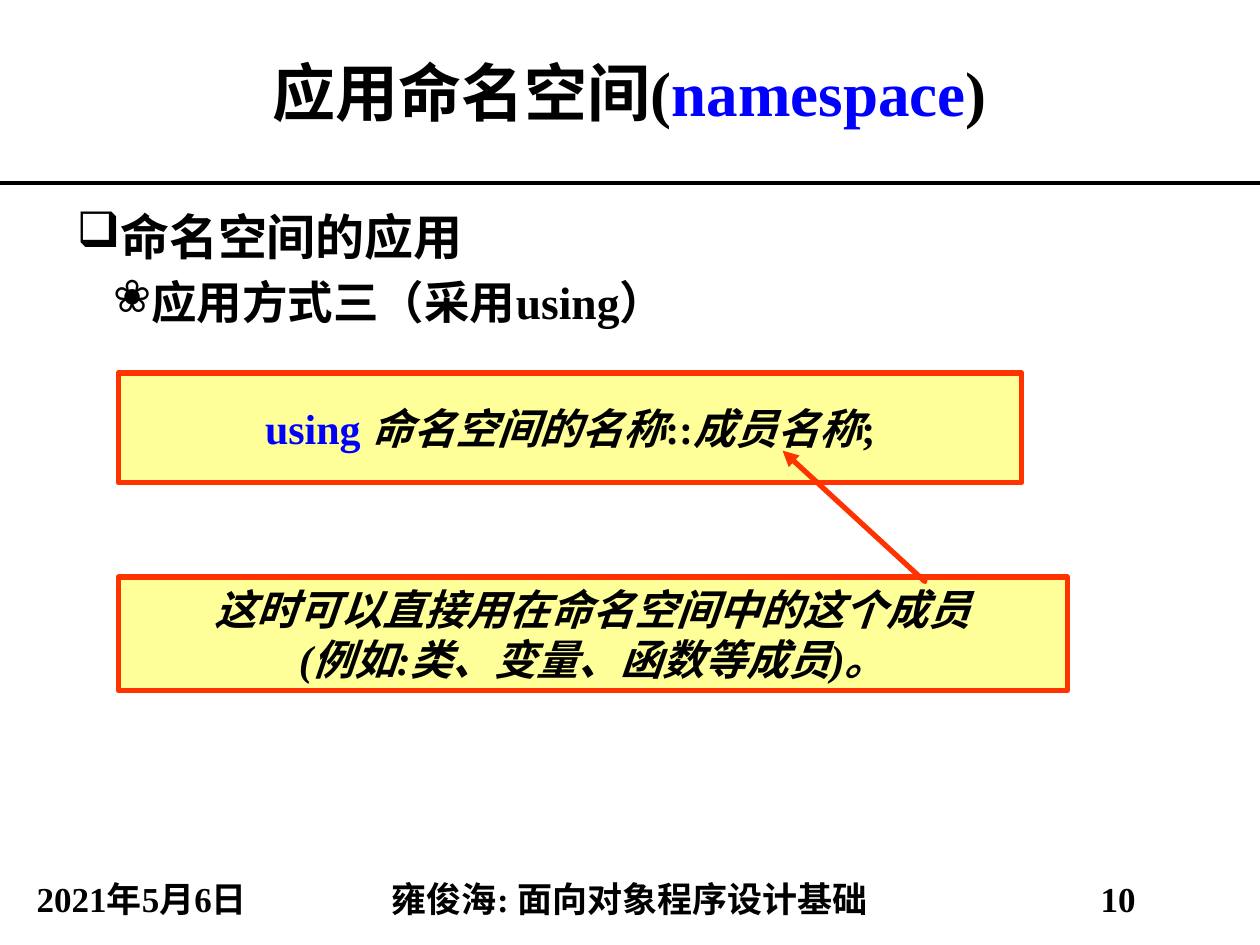
from lxml import etree
from pptx import Presentation
from pptx.dml.color import RGBColor
from pptx.enum.shapes import MSO_CONNECTOR, MSO_SHAPE
from pptx.enum.text import MSO_ANCHOR, PP_ALIGN
from pptx.oxml.ns import qn
from pptx.util import Inches, Pt

STRAIGHT = MSO_CONNECTOR.STRAIGHT
RECTANGLE, CALLOUT = MSO_SHAPE.RECTANGLE, MSO_SHAPE.LINE_CALLOUT_2
TOP, MIDDLE = MSO_ANCHOR.TOP, MSO_ANCHOR.MIDDLE
CENTER, JUSTIFY = PP_ALIGN.CENTER, PP_ALIGN.JUSTIFY
FONT = "Times New Roman"
BLACK, BLUE, YELLOW, RED = "000000", "0000FF", "FFFF99", "FF3300"
WIDTH, HEIGHT = 10, 7.5


def paint(color_format, value):
    color_format.rgb = RGBColor.from_string(value)


def assign(target, values):
    for name, value in values.items():
        setattr(target, name, value)


def write(paragraph, runs, size, **layout):
    assign(paragraph, layout)
    for words, color, italic in runs:
        run = paragraph.add_run()
        run.text = words
        assign(run.font, {"name": FONT, "size": Pt(size), "bold": True, "italic": italic})
        paint(run.font.color, color)


def add_text(slide, box, anchor):
    frame = slide.shapes.add_textbox(*map(Inches, box)).text_frame
    assign(frame, {"word_wrap": True, "vertical_anchor": anchor})
    return frame


def add_header(slide, box):
    left, top, width, height = box
    title = add_text(slide, box, MIDDLE)
    runs = [("应用命名空间(", BLACK, False), ("namespace", BLUE, False), (")", BLACK, False)]
    write(title.paragraphs[0], runs, 36, alignment=CENTER)
    bottom = top + height
    rule = slide.shapes.add_connector(
        STRAIGHT, *map(Inches, (left, bottom, left + width, bottom)))
    rule.line.width = Pt(2.25)
    paint(rule.line.color, BLACK)
    etree.SubElement(rule._element.spPr, qn("a:effectLst"))


def add_outline(slide, box):
    frame = add_text(slide, box, TOP)
    items = [("命名空间的应用", "❑", 28, 0.25, 0.25, 0),
             ("应用方式三（采用using）", "❀", 26, 0.59, 0.3, 5)]
    for level, (words, bullet, size, margin, hanging, before) in enumerate(items):
        paragraph = frame.add_paragraph() if level else frame.paragraphs[0]
        properties = paragraph._p.get_or_add_pPr()
        properties.set("marL", str(Inches(margin)))
        properties.set("indent", str(-Inches(hanging)))
        etree.SubElement(properties, qn("a:buChar"), char=bullet)
        write(paragraph, [(words, BLACK, False)], size,
              level=level, alignment=JUSTIFY, space_before=Pt(before))


def add_panel(slide, kind, box, lines, anchor, inset):
    panel = slide.shapes.add_shape(kind, *map(Inches, box))
    panel.shadow.inherit = False
    panel.fill.solid()
    paint(panel.fill.fore_color, YELLOW)
    paint(panel.line.color, RED)
    panel.line.width = Pt(3)
    frame = panel.text_frame
    assign(frame, {"word_wrap": True, "vertical_anchor": anchor,
                   "margin_left": 0, "margin_right": 0,
                   "margin_top": Inches(inset), "margin_bottom": Inches(inset)})
    for index, runs in enumerate(lines):
        paragraph = frame.add_paragraph() if index else frame.paragraphs[0]
        write(paragraph, runs, 24, alignment=CENTER)
    return panel


def add_syntax(slide, box):
    runs = [("using ", BLUE, False), ("命名空间的名称", BLACK, True),
            ("::", BLACK, False), ("成员名称", BLACK, True), (";", BLACK, False)]
    add_panel(slide, RECTANGLE, box, [runs], MIDDLE, 0)


def add_explanation(slide, box):
    lines = ["这时可以直接用在命名空间中的这个成员", "(例如:类、变量、函数等成员)。"]
    callout = add_panel(slide, CALLOUT, box,
                        [[(line, BLACK, True)] for line in lines], TOP, 0.05)
    for index, share in enumerate((0.01, 0.85, 0.04, 0.85, -1.115, 0.7)):
        callout.adjustments[index] = share
    etree.SubElement(callout.line._get_or_add_ln(), qn("a:tailEnd"), type="triangle")


def add_footer(slide, box):
    left, top, width, height = box
    side = 0.225 * width
    cells = [("2021年5月6日", side),
             ("雍俊海: 面向对象程序设计基础", width - 2 * side),
             ("10", side)]
    for words, span in cells:
        frame = add_text(slide, (left, top, span, height), MIDDLE)
        write(frame.paragraphs[0], [(words, BLACK, False)], 20,
              alignment=CENTER, line_spacing=0.9)
        left += span


def main():
    deck = Presentation()
    assign(deck, {"slide_width": Inches(WIDTH), "slide_height": Inches(HEIGHT)})
    slide = deck.slides.add_slide(deck.slide_layouts[6])
    add_header(slide, (0, 0, WIDTH, 1.45))
    add_outline(slide, (0.51, 1.59, 8.99, 1.13))
    add_footer(slide, (0, 6.95, WIDTH, 0.4))
    add_syntax(slide, (0.94, 2.96, 7.17, 0.87))
    add_explanation(slide, (0.94, 4.58, 7.53, 0.9))
    deck.save("out.pptx")


if __name__ == "__main__":
    main()
